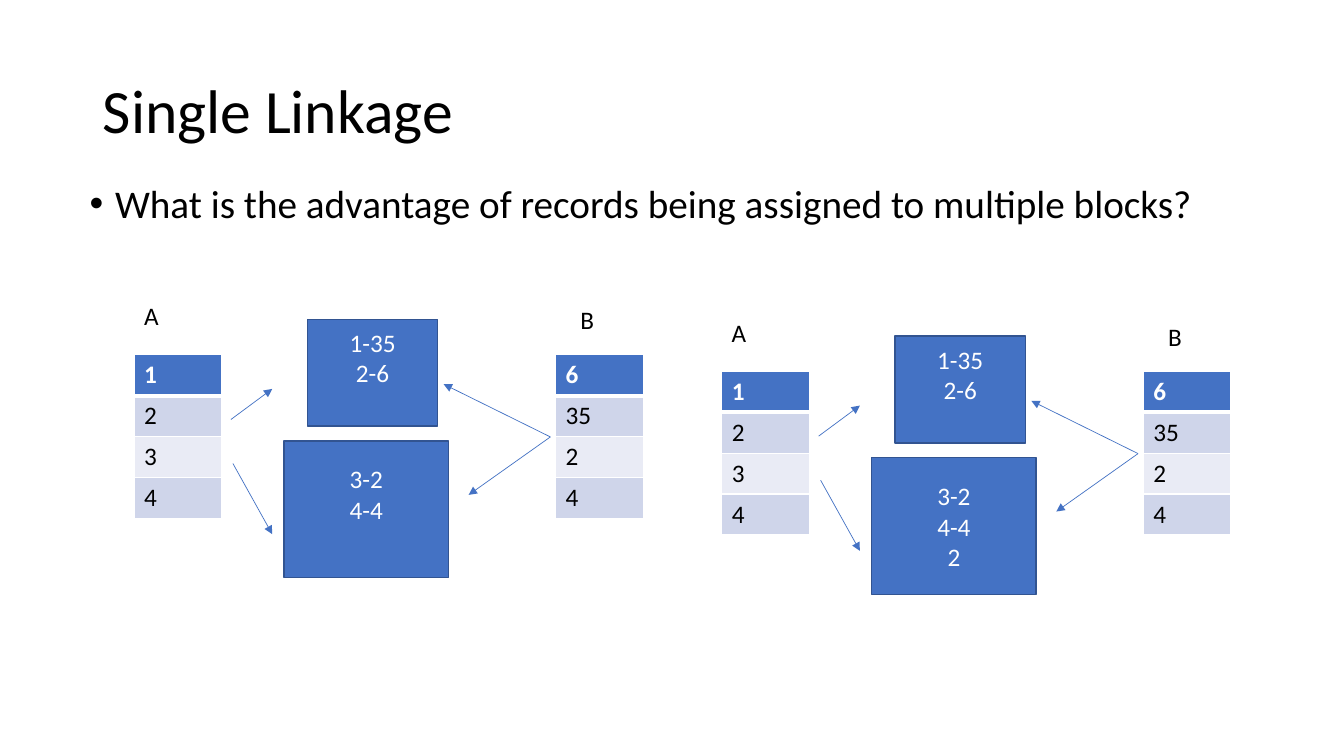
from lxml.etree import SubElement
from pptx import Presentation
from pptx.dml.color import RGBColor
from pptx.enum.shapes import MSO_CONNECTOR, MSO_SHAPE
from pptx.enum.text import MSO_ANCHOR as Anchor, PP_ALIGN as Align
from pptx.oxml.ns import qn
from pptx.util import Cm, Pt

TITLE = "Single Linkage"
QUESTION = "What is the advantage of records being assigned to multiple blocks?"
RECORDS = {"A": ["1", "2", "3", "4"], "B": ["6", "35", "2", "4"]}
UPPER_BLOCK = ["1-35", "2-6"]
LOWER_BLOCKS = [["3-2", "4-4"], ["3-2", "4-4", "2"]]
LINES_PER_BLOCK = 3

FONT = "Calibri"
COLORS = {"black": "000000", "white": "FFFFFF", "blue": "4472C4",
          "outline": "325491", "dark_band": "CFD5EA", "light_band": "E9EBF5"}

# Centimetres; diagram parts are placed for the first diagram.
DIAGRAM_STEP = (14.81, 0.42)
TABLE_PLACES = {"A": (3.38, 8.94), "B": (14.0, 8.94)}
LABEL_PLACES = {"A": (3.38, 7.44), "B": (14.38, 7.54)}
COLUMN_WIDTH, ROW_HEIGHT = 2.21, 1.03
UPPER_BOX = (7.75, 8.05, 3.28, 2.69)
LOWER_BOX = (7.16, 11.11, 4.14, 3.45)
LINE_HEIGHT, INSET = 0.77, 0.13
ARROWS = [((5.82, 10.57), (6.86, 9.8)), ((13.87, 11.01), (11.81, 12.47)),
          ((5.87, 11.68), (6.86, 13.46)), ((13.87, 11.01), (11.18, 9.68))]


def color(name):
    return RGBColor.from_string(COLORS[name])


def write(paragraph, text, size=18, ink="black", bold=False):
    run = paragraph.add_run()
    run.text = text
    run.font.name = FONT
    run.font.size = Pt(size)
    run.font.bold = bold
    run.font.color.rgb = color(ink)


def add_text(slide, box, text, size=18, anchor=Anchor.TOP):
    frame = slide.shapes.add_textbox(*map(Cm, box)).text_frame
    frame.word_wrap = True
    frame.vertical_anchor = anchor
    paragraph = frame.paragraphs[0]
    write(paragraph, text, size)
    return paragraph


def add_bullet(paragraph, indent):
    properties = paragraph._p.get_or_add_pPr()
    properties.set("marL", str(Cm(indent)))
    properties.set("indent", str(-Cm(indent)))
    SubElement(properties, qn("a:buFont"), typeface="Arial")
    SubElement(properties, qn("a:buChar"), char="•")


def add_borders(cell, widths):
    """Draw white borders; widths are points for left, right, top, bottom."""
    properties = cell._tc.get_or_add_tcPr()
    for side, width in zip("LRTB", widths):
        line = SubElement(properties, qn(f"a:ln{side}"), w=str(Pt(width)))
        fill = SubElement(line, qn("a:solidFill"))
        SubElement(fill, qn("a:srgbClr"), val=COLORS["white"])


def add_records(slide, place, records):
    size = (COLUMN_WIDTH, ROW_HEIGHT * len(records))
    table = slide.shapes.add_table(len(records), 1, *map(Cm, place + size)).table
    for row, record in enumerate(records):
        cell = table.cell(row, 0)
        header = row == 0
        add_borders(cell, (1, 1, 3 if row == 1 else 1, 3 if header else 1))
        band = "dark_band" if row % 2 else "light_band"
        cell.fill.solid()
        cell.fill.fore_color.rgb = color("blue" if header else band)
        write(cell.text_frame.paragraphs[0], record,
              ink="white" if header else "black", bold=header)


def add_block(slide, box, lines):
    """Add a block whose lines keep their place when the last is missing."""
    shape = slide.shapes.add_shape(MSO_SHAPE.RECTANGLE, *map(Cm, box))
    shape.shadow.inherit = False
    shape.fill.solid()
    shape.fill.fore_color.rgb = color("blue")
    shape.line.color.rgb = color("outline")
    shape.line.width = Pt(1)
    frame = shape.text_frame
    frame.word_wrap = True
    frame.vertical_anchor = Anchor.MIDDLE
    missing = LINES_PER_BLOCK - len(lines)
    frame.margin_top = Cm(INSET)
    frame.margin_bottom = Cm(INSET + LINE_HEIGHT * missing)
    for index, line in enumerate(lines):
        paragraph = frame.add_paragraph() if index else frame.paragraphs[0]
        paragraph.alignment = Align.CENTER
        write(paragraph, line, ink="white")


def add_arrow(slide, start, end):
    arrow = slide.shapes.add_connector(MSO_CONNECTOR.STRAIGHT, *map(Cm, start + end))
    arrow.line.color.rgb = color("blue")
    arrow.line.width = Pt(0.5)
    SubElement(arrow.line._get_or_add_ln(), qn("a:tailEnd"), type="triangle")
    SubElement(arrow._element.spPr, qn("a:effectLst"))


def add_diagram(slide, index, lower_block):
    def shifted(place):
        x, y, *size = place
        return (x + index * DIAGRAM_STEP[0], y + index * DIAGRAM_STEP[1], *size)

    for name, records in RECORDS.items():
        add_records(slide, shifted(TABLE_PLACES[name]), records)
        add_text(slide, shifted(LABEL_PLACES[name]) + (1.75, 1.02), name)
    add_block(slide, shifted(UPPER_BOX), UPPER_BLOCK)
    add_block(slide, shifted(LOWER_BOX), lower_block)
    for start, end in ARROWS:
        add_arrow(slide, shifted(start), shifted(end))


def main():
    presentation = Presentation()
    presentation.slide_width, presentation.slide_height = Cm(33.87), Cm(19.05)
    slide = presentation.slides.add_slide(presentation.slide_layouts[6])

    title = add_text(slide, (2.34, 1.02, 29.21, 3.68), TITLE, 44, Anchor.MIDDLE)
    title.line_spacing = 0.9
    question = add_text(slide, (2.01, 4.52, 29.21, 12.09), QUESTION, 28)
    question.line_spacing = 0.9
    question.space_before = Pt(10)
    add_bullet(question, 0.64)

    for index, lower_block in enumerate(LOWER_BLOCKS):
        add_diagram(slide, index, lower_block)
    presentation.save("out.pptx")


if __name__ == "__main__":
    main()
